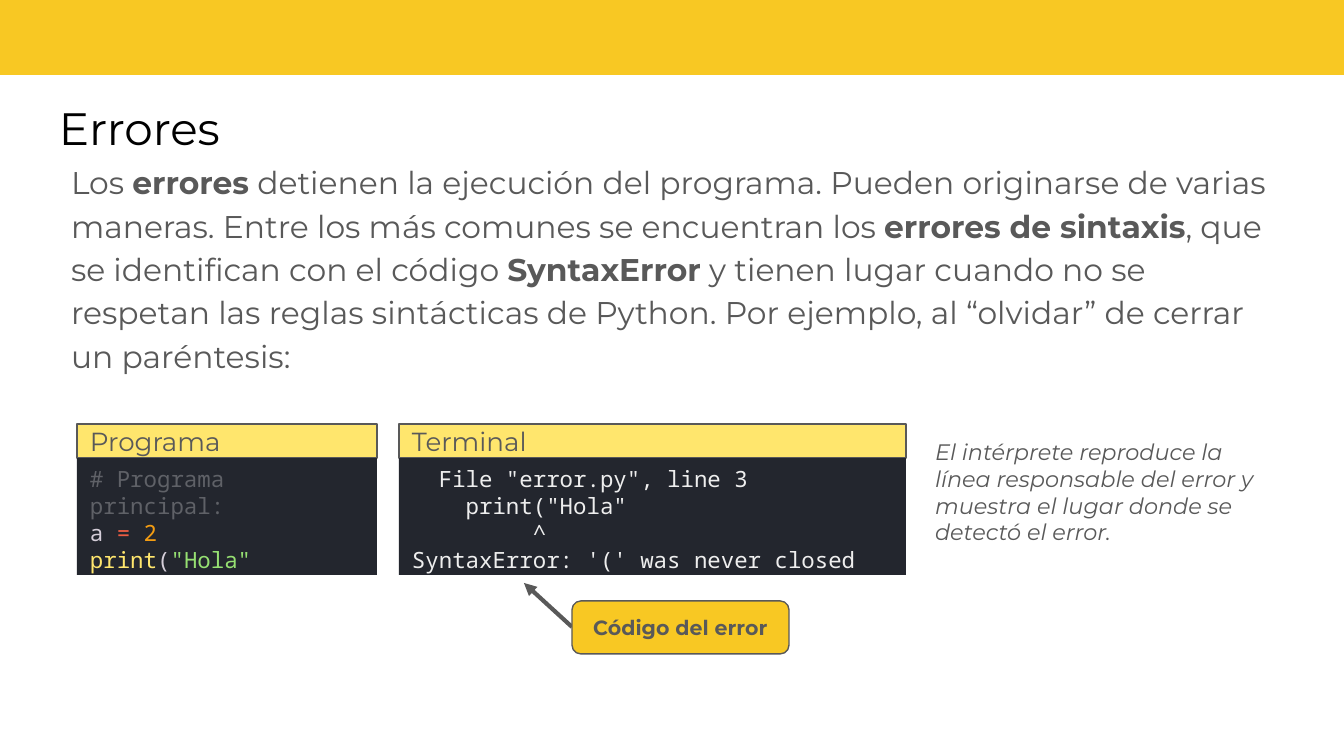
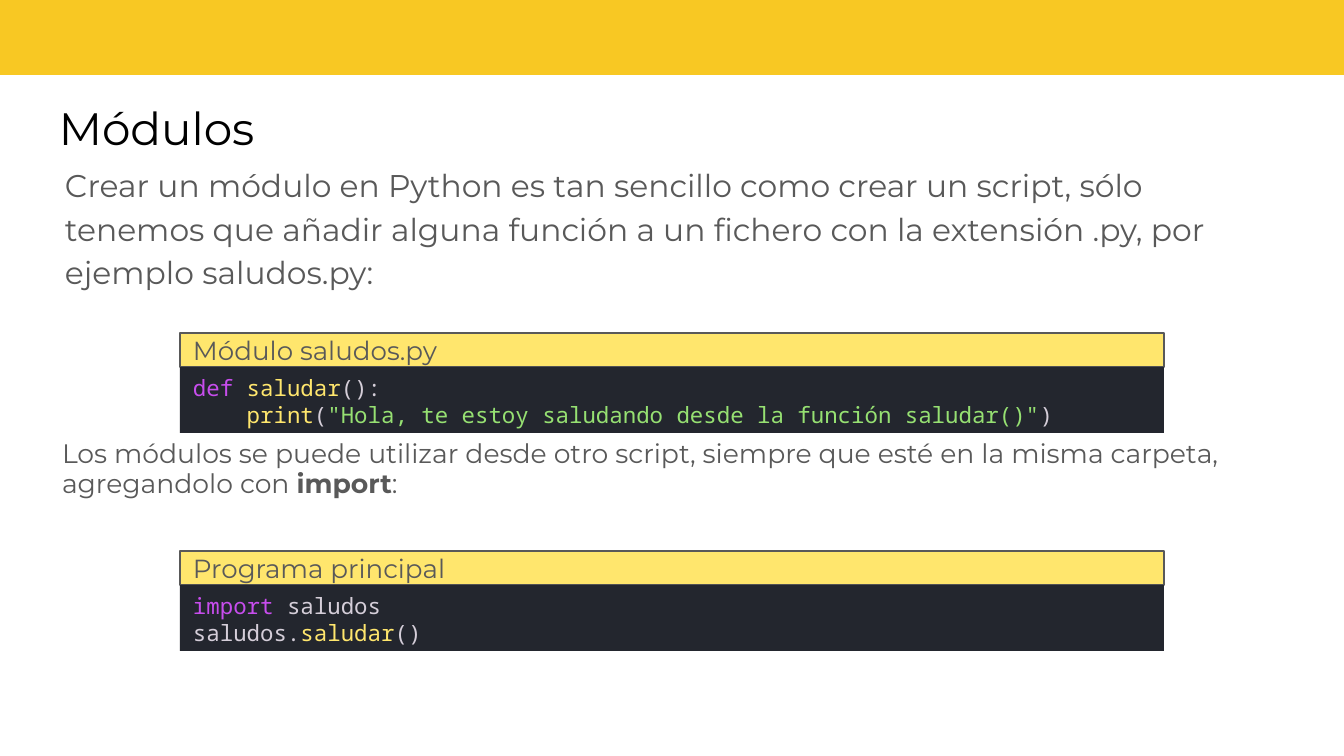
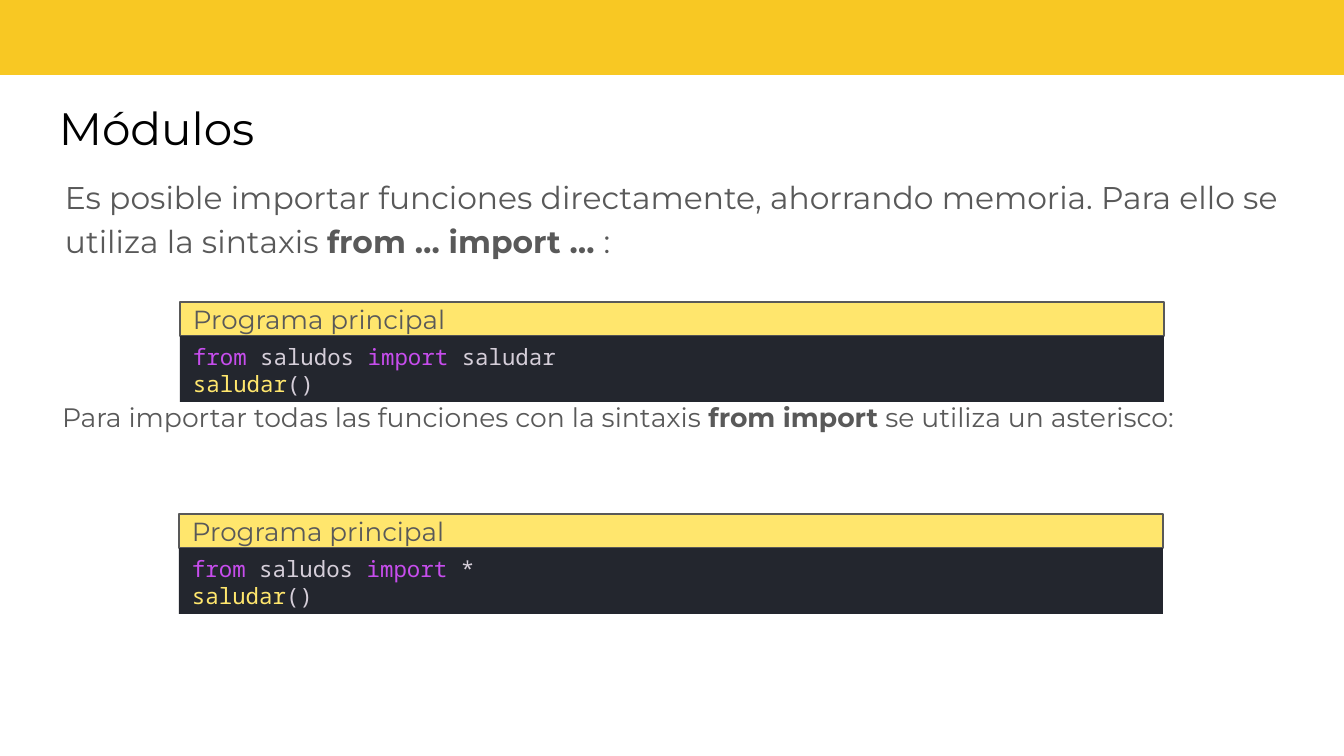
from lxml import etree
from pptx import Presentation
from pptx.dml.color import RGBColor
from pptx.enum.shapes import MSO_CONNECTOR, MSO_SHAPE
from pptx.enum.text import MSO_ANCHOR, PP_ALIGN
from pptx.oxml.ns import qn
from pptx.util import Pt

PX = 914400 / 134.4
RECT = MSO_SHAPE.RECTANGLE
ROUNDED = MSO_SHAPE.FLOWCHART_ALTERNATE_PROCESS
STRAIGHT = MSO_CONNECTOR.STRAIGHT
TOP, MIDDLE = MSO_ANCHOR.TOP, MSO_ANCHOR.MIDDLE
LEFT, CENTER = PP_ALIGN.LEFT, PP_ALIGN.CENTER

SANS, MONO = "Montserrat", "Noto Sans Mono"
BLACK, GRAY, GOLD, DARK = "000000", "595959", "F8C823", "23262E"
YELLOW, PLAIN, PURPLE, GREEN = "FFE66D", "D5CED9", "C74DED", "96E072"
RED, ORANGE, COMMENT, OUTPUT = "EE5D43", "F39C12", "5F6167", "EEEEEE"


def px(n):
    return round(n * PX)


def rgb(color):
    return RGBColor.from_string(color)


class Deck:
    """Holds the shared style and the current slide of the deck."""

    def __init__(self):
        self.prs = Presentation()
        self.prs.slide_width, self.prs.slide_height = px(1344), px(756)
        self.s = None

    def slide(self, title):
        self.s = self.prs.slides.add_slide(self.prs.slide_layouts[6])
        self.shape(RECT, -1, -7, 1348, 82, GOLD)
        self.text(46, 87, 1250, 85, title, 24.3, color=BLACK, inset=13)

    def shape(self, kind, x, y, w, h, fill, line=None):
        sp = self.s.shapes.add_shape(kind, px(x), px(y), px(w), px(h))
        sp.shadow.inherit = False
        sp.fill.solid()
        sp.fill.fore_color.rgb = rgb(fill)
        if line:
            sp.line.color.rgb = rgb(line)
            sp.line.width = Pt(0.75)
        else:
            sp.line.fill.background()
        return sp

    def frame(self, sp, inset_x, inset_y, anchor=TOP):
        tf = sp.text_frame
        tf.word_wrap = True
        tf.margin_left = tf.margin_right = px(inset_x)
        tf.margin_top = tf.margin_bottom = px(inset_y)
        tf.vertical_anchor = anchor
        return tf

    def style(self, font, size, color, name=SANS, bold=False, italic=False):
        font.name, font.size = name, Pt(size)
        font.color.rgb = rgb(color)
        font.bold, font.italic = bold, italic

    def text(self, x, y, w, h, text, size, spacing=1.0, color=GRAY, inset=0, italic=False):
        sp = self.s.shapes.add_textbox(px(x), px(y), px(w), px(h))
        p = self.frame(sp, inset, 13).paragraphs[0]
        p.line_spacing = spacing
        for i, part in enumerate(text.split("**")):
            r = p.add_run()
            r.text = part
            self.style(r.font, size, color, bold=i % 2 == 1, italic=italic)

    def label(self, sp, text, size, align=LEFT, bold=False):
        tf = self.frame(sp, 13, 7, MIDDLE)
        tf.text = text
        p = tf.paragraphs[0]
        p.alignment = align
        self.style(p.runs[0].font, size, GRAY, bold=bold)

    def panel(self, x, y, w, h, title, lines):
        self.label(self.shape(RECT, x, y, w, 34, YELLOW, GRAY), title, 14)
        tf = self.frame(self.shape(RECT, x, y + 34, w, h, DARK), 13, 7)
        for i, line in enumerate(lines):
            p = tf.add_paragraph() if i else tf.paragraphs[0]
            p.alignment = LEFT
            for part, color in line:
                r = p.add_run()
                r.text = part
                self.style(r.font, 12, color, MONO)

    def wide_panel(self, x, y, title, lines):
        self.panel(x, y, 984, 66, title, lines)

    def callout(self, x, y, w, h, text):
        self.label(self.shape(ROUNDED, x, y, w, h, GOLD, GRAY), text, 11, CENTER, True)

    def arrow(self, x1, y1, x2, y2):
        sp = self.s.shapes.add_connector(STRAIGHT, px(x1), px(y1), px(x2), px(y2))
        sp.line.color.rgb = rgb(GRAY)
        sp.line.width = Pt(2.25)
        etree.SubElement(sp.line._get_or_add_ln(), qn("a:tailEnd"), type="triangle")
        etree.SubElement(sp._element.spPr, qn("a:effectLst"))


def errors_slide(d):
    d.slide("Errores")
    d.text(71, 145, 1216, 481,
           "Los **errores** detienen la ejecución del programa. Pueden originarse de varias "
           "maneras. Entre los más comunes se encuentran los **errores de sintaxis**, que se "
           "identifican con el código **SyntaxError** y tienen lugar cuando no se respetan las "
           "reglas sintácticas de Python. Por ejemplo, al “olvidar” de cerrar un paréntesis:",
           16.8, 1.15)
    d.panel(77, 424, 300, 117, "Programa", [
        [("# Programa principal:", COMMENT)],
        [("a ", PLAIN), ("=", RED), (" ", PLAIN), ("2", ORANGE)],
        [("print", YELLOW), ("(", PLAIN), ('"Hola"', GREEN)],
    ])
    output = ['  File "error.py", line 3', '    print("Hola"', "         ^",
              "SyntaxError: '(' was never closed"]
    d.panel(399, 424, 507, 117, "Terminal", [[(line, OUTPUT)] for line in output])
    d.arrow(572, 627, 524, 583)
    d.callout(572, 601, 217, 53, "Código del error")
    d.text(922, 425, 368, 136,
           "El intérprete reproduce la línea responsable del error y muestra el lugar "
           "donde se detectó el error.", 12, inset=13, italic=True)


def modules_slide(d):
    d.slide("Módulos")
    d.text(65, 148, 1216, 481,
           "Crear un módulo en Python es tan sencillo como crear un script, sólo tenemos que "
           "añadir alguna función a un fichero con la extensión .py, por ejemplo saludos.py:",
           16.8, 1.15)
    d.wide_panel(180, 333, "Módulo saludos.py", [
        [("def ", PURPLE), ("saludar", YELLOW), ("():", PLAIN)],
        [("    ", PLAIN), ("print", YELLOW), ("(", PLAIN),
         ('"Hola, te estoy saludando desde la función saludar()"', GREEN), (")", PLAIN)],
    ])
    d.text(62, 426, 1216, 112,
           "Los módulos se puede utilizar desde otro script, siempre que esté en la misma "
           "carpeta, agregandolo con **import**:", 14.3, 0.95)
    d.wide_panel(180, 551, "Programa principal", [
        [("import", PURPLE), (" saludos", PLAIN)],
        [("saludos.", PLAIN), ("saludar", YELLOW), ("()", PLAIN)],
    ])


def imports_slide(d):
    d.slide("Módulos")
    d.text(65, 160, 1216, 481,
           "Es posible importar funciones directamente, ahorrando memoria. Para ello se utiliza "
           "la sintaxis **from … import … **:", 16.8, 1.15)
    d.text(62, 386, 1216, 112,
           "Para importar todas las funciones con la sintaxis **from import** se utiliza un "
           "asterisco:", 14.3, 1.05)
    for x, y, target in [(180, 302, "saludar"), (179, 514, "*")]:
        d.wide_panel(x, y, "Programa principal", [
            [("from", PURPLE), (" saludos ", PLAIN), ("import", PURPLE), (" " + target, PLAIN)],
            [("saludar", YELLOW), ("()", PLAIN)],
        ])


def main():
    d = Deck()
    errors_slide(d)
    modules_slide(d)
    imports_slide(d)
    d.prs.save("out.pptx")


if __name__ == "__main__":
    main()
